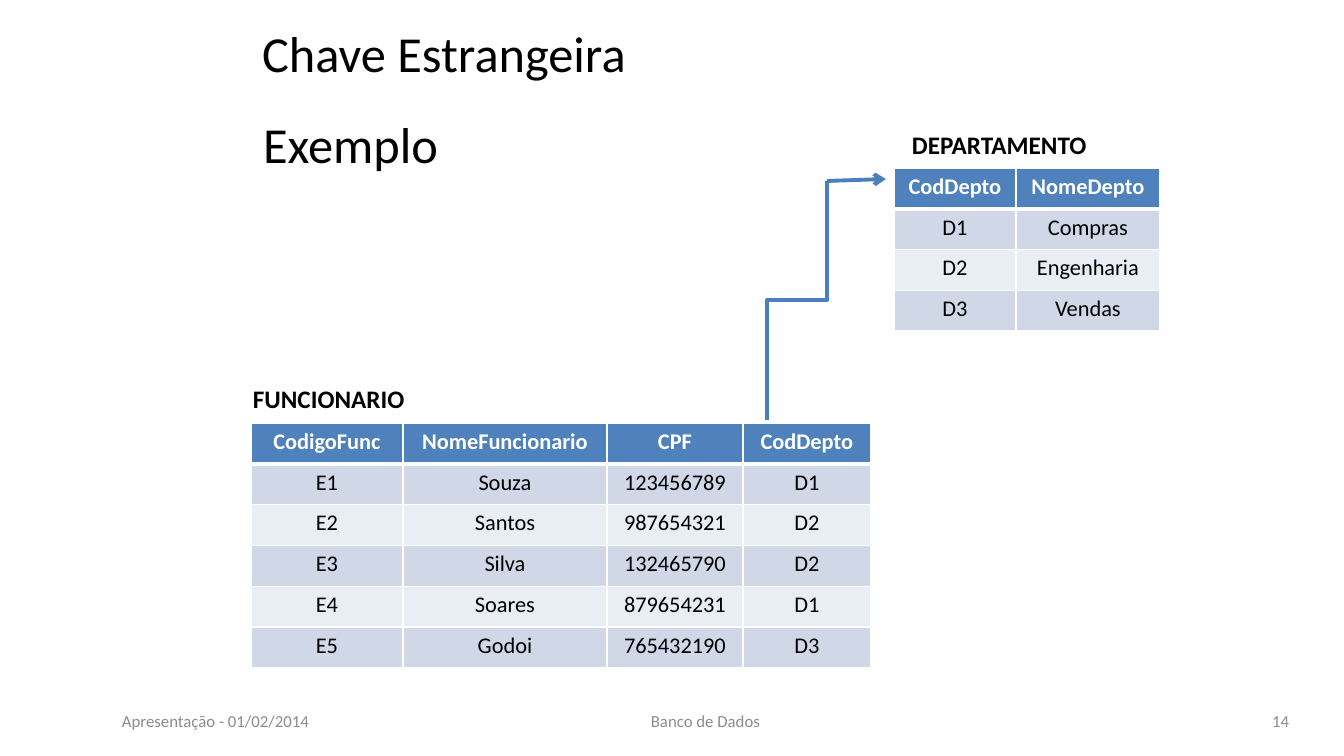
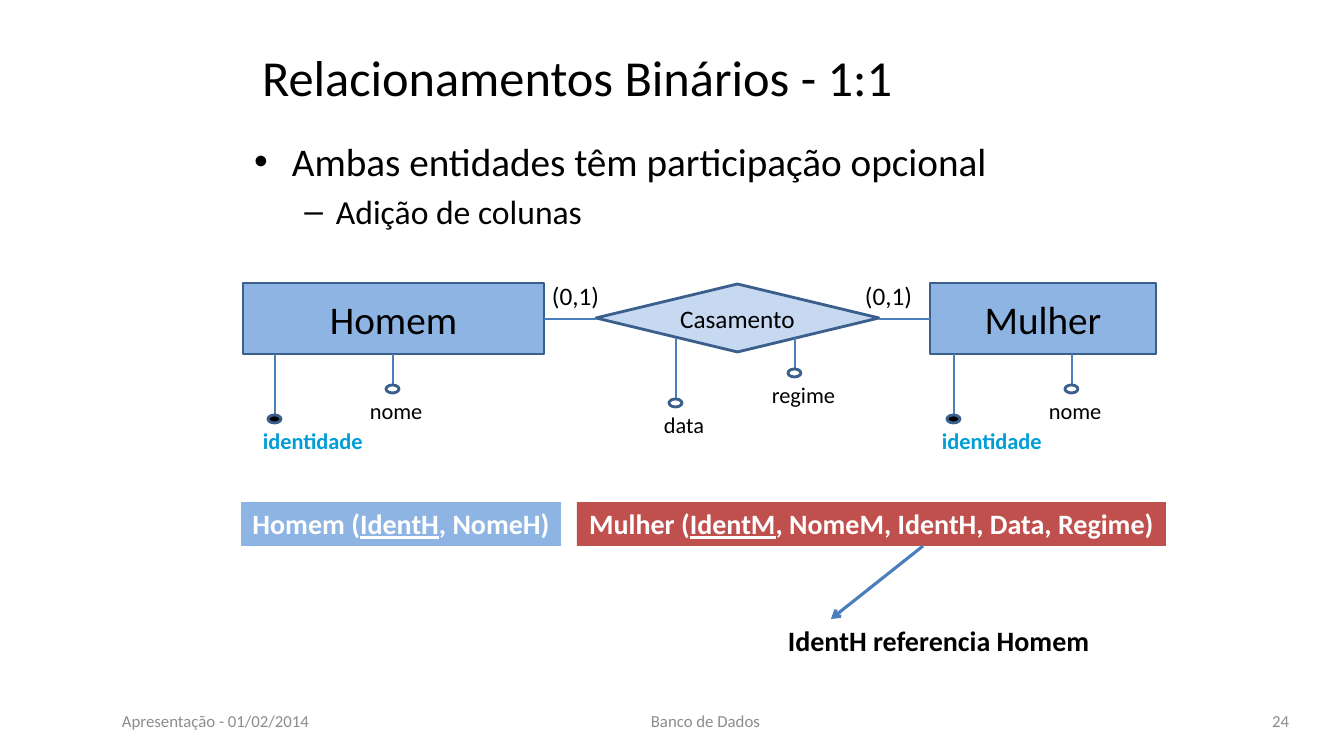
from dataclasses import dataclass

from lxml.etree import SubElement
from pptx import Presentation
from pptx.dml.color import RGBColor
from pptx.enum.shapes import MSO_CONNECTOR, MSO_SHAPE
from pptx.enum.text import MSO_ANCHOR, MSO_AUTO_SIZE, PP_ALIGN
from pptx.oxml.ns import qn
from pptx.shapes.autoshape import Shape
from pptx.shapes.connector import Connector
from pptx.slide import Slide
from pptx.util import Emu, Pt

# Shared style
FONT = "Calibri"
BLACK = RGBColor(0x00, 0x00, 0x00)
WHITE = RGBColor(0xFF, 0xFF, 0xFF)
GRAY = RGBColor(0x8C, 0x8C, 0x8C)
CYAN = RGBColor(0x00, 0x9E, 0xD6)
LINE_BLUE = RGBColor(0x4B, 0x7E, 0xBC)
OUTLINE = RGBColor(0x3A, 0x5F, 0x8C)
ENTITY_BLUE = RGBColor(0x8E, 0xB4, 0xE3)
RELATION_BLUE = RGBColor(0xC6, 0xD9, 0xF1)
RED = RGBColor(0xC0, 0x50, 0x4D)
HEADER_BLUE = RGBColor(0x4F, 0x81, 0xBD)
BANDS = (RGBColor(0xE9, 0xED, 0xF4), RGBColor(0xD0, 0xD8, 0xE8))


def px(n: float) -> Emu:
    """Pixels at 100.8 to the inch, in EMU."""
    return Emu(round(n * 914400 / 100.8))


@dataclass(frozen=True)
class Box:
    x: int
    y: int
    w: int
    h: int

    def emu(self) -> tuple[Emu, Emu, Emu, Emu]:
        return px(self.x), px(self.y), px(self.w), px(self.h)


@dataclass(frozen=True)
class TextStyle:
    size: int
    color: RGBColor = BLACK
    bold: bool = False
    align: PP_ALIGN = PP_ALIGN.LEFT


@dataclass(frozen=True)
class Label:
    text: str
    box: Box
    style: TextStyle
    anchor: MSO_ANCHOR = MSO_ANCHOR.TOP
    wrap: bool = True


@dataclass(frozen=True)
class Grid:
    caption: Label
    x: int
    y: int
    h: int
    cols: tuple[int, ...]
    rows: tuple[tuple[str, ...], ...]


@dataclass(frozen=True)
class Node:
    text: str
    kind: MSO_SHAPE
    box: Box
    fill: RGBColor
    size: int


@dataclass(frozen=True)
class Attribute:
    name: str
    x: int
    y: int
    deep: bool = False
    key: bool = False


@dataclass(frozen=True)
class Schema:
    box: Box
    fill: RGBColor
    before: str
    key: str
    after: str


TITLE_STYLE = TextStyle(36)
CAPTION = TextStyle(18, bold=True)
FOOTER = TextStyle(12, GRAY)


# Text
def style_paragraph(p, style: TextStyle) -> None:
    p.alignment = style.align
    for r in p.runs:
        r.font.name, r.font.size = FONT, Pt(style.size)
        r.font.bold, r.font.color.rgb = style.bold, style.color


def add_label(slide: Slide, label: Label) -> None:
    tf = slide.shapes.add_textbox(*label.box.emu()).text_frame
    tf.word_wrap, tf.vertical_anchor = label.wrap, label.anchor
    tf.text = label.text
    style_paragraph(tf.paragraphs[0], label.style)


def fill_placeholder(sp: Shape, box: Box, lines: list[tuple[str, int]],
                     anchor: MSO_ANCHOR) -> None:
    sp.left, sp.top, sp.width, sp.height = box.emu()
    tf = sp.text_frame
    tf.auto_size, tf.vertical_anchor = MSO_AUTO_SIZE.NONE, anchor
    tf.text = "\n".join(text for text, _ in lines)
    for level, (p, (_, size)) in enumerate(zip(tf.paragraphs, lines)):
        p.level = level
        style_paragraph(p, TextStyle(size))


def add_page(prs: Presentation, title: str, title_y: int, number: int,
             body_box: Box, body: list[tuple[str, int]]) -> Slide:
    slide = prs.slides.add_slide(prs.slide_layouts[1])
    fill_placeholder(slide.shapes.title, Box(252, title_y, 890, 95),
                     [(title, TITLE_STYLE.size)], MSO_ANCHOR.MIDDLE)
    fill_placeholder(slide.placeholders[1], body_box, body, MSO_ANCHOR.TOP)
    for text, x, w, align in (
        ("Apresentação - 01/02/2014", 112, 313, PP_ALIGN.LEFT),
        ("Banco de Dados", 493, 425, PP_ALIGN.CENTER),
        (str(number), 986, 313, PP_ALIGN.RIGHT),
    ):
        style = TextStyle(FOOTER.size, FOOTER.color, align=align)
        add_label(slide, Label(text, Box(x, 701, w, 40), style, MSO_ANCHOR.MIDDLE))
    return slide


# Lines and shapes
def style_line(c: Connector, width: float, arrow: bool = False) -> None:
    c.line.color.rgb, c.line.width = LINE_BLUE, Pt(width)
    sp_pr = c.element.spPr
    if arrow:
        SubElement(sp_pr.find(qn("a:ln")), qn("a:tailEnd"), type="arrow")
    SubElement(sp_pr, qn("a:effectLst"))


def add_line(slide: Slide, x1: int, y1: int, x2: int, y2: int,
             width: float = 2, arrow: bool = False) -> None:
    c = slide.shapes.add_connector(MSO_CONNECTOR.STRAIGHT, px(x1), px(y1), px(x2), px(y2))
    style_line(c, width, arrow)


def add_rising_elbow(slide: Slide, x1: int, y1: int, x2: int, y2: int,
                     width: float) -> None:
    """Vertical, horizontal, vertical: an elbow turned by a quarter."""
    cx, cy = (x1 + x2) / 2, (y1 + y2) / 2
    half_w, half_h = (y1 - y2) / 2, (x2 - x1) / 2
    c = slide.shapes.add_connector(MSO_CONNECTOR.ELBOW, px(cx + half_w), px(cy + half_h),
                                   px(cx - half_w), px(cy - half_h))
    c.element.spPr.find(qn("a:xfrm")).set("rot", str(90 * 60000))
    style_line(c, width)


def add_filled(slide: Slide, kind: MSO_SHAPE, box: Box, fill: RGBColor,
               outlined: bool = True) -> Shape:
    sp = slide.shapes.add_shape(kind, *box.emu())
    sp.shadow.inherit = False
    sp.fill.solid()
    sp.fill.fore_color.rgb = fill
    if outlined:
        sp.line.color.rgb, sp.line.width = OUTLINE, Pt(2)
    else:
        sp.line.fill.background()
    return sp


def add_node(slide: Slide, node: Node) -> None:
    tf = add_filled(slide, node.kind, node.box, node.fill).text_frame
    tf.word_wrap, tf.vertical_anchor = False, MSO_ANCHOR.MIDDLE
    tf.text = node.text
    style_paragraph(tf.paragraphs[0], TextStyle(node.size, align=PP_ALIGN.CENTER))


def add_attribute(slide: Slide, a: Attribute) -> None:
    drop, label_dx = (61, -22) if a.deep else (31, -33)
    end = a.y + drop
    add_line(slide, a.x, a.y, a.x, end)
    add_filled(slide, MSO_SHAPE.FLOWCHART_CONNECTOR, Box(a.x - 7, end, 13, 8),
               BLACK if a.key else WHITE)
    style = TextStyle(16, CYAN if a.key else BLACK, bold=a.key)
    add_label(slide, Label(a.name, Box(a.x + label_dx, end + 7, 121, 37), style, wrap=False))


def add_schema(slide: Slide, schema: Schema) -> None:
    sp = add_filled(slide, MSO_SHAPE.RECTANGLE, schema.box, schema.fill, outlined=False)
    tf = sp.text_frame
    tf.word_wrap, tf.vertical_anchor = False, MSO_ANCHOR.TOP
    p = tf.paragraphs[0]
    for text, underlined in ((schema.before, False), (schema.key, True), (schema.after, False)):
        r = p.add_run()
        r.text, r.font.underline = text, underlined
    style_paragraph(p, TextStyle(20, WHITE, True, PP_ALIGN.CENTER))


# Tables
def set_borders(cell, row: int) -> None:
    tc_pr = cell._tc.get_or_add_tcPr()
    widths = {"lnL": 1, "lnR": 1, "lnT": 3 if row == 1 else 1, "lnB": 3 if row == 0 else 1}
    for i, (side, width) in enumerate(widths.items()):
        ln = SubElement(tc_pr, qn(f"a:{side}"), w=str(int(Pt(width))))
        SubElement(SubElement(ln, qn("a:solidFill")), qn("a:srgbClr"), val=str(WHITE))
        tc_pr.insert(i, ln)


def add_grid(slide: Slide, grid: Grid) -> None:
    add_label(slide, grid.caption)
    box = Box(grid.x, grid.y, sum(grid.cols), grid.h)
    table = slide.shapes.add_table(len(grid.rows), len(grid.cols), *box.emu()).table
    for col, w in zip(table.columns, grid.cols):
        col.width = px(w)
    for i, values in enumerate(grid.rows):
        header = i == 0
        table.rows[i].height = px(grid.h / len(grid.rows))
        style = TextStyle(16, WHITE if header else BLACK, header, PP_ALIGN.CENTER)
        for j, value in enumerate(values):
            cell = table.cell(i, j)
            cell.text = value
            style_paragraph(cell.text_frame.paragraphs[0], style)
            cell.fill.solid()
            cell.fill.fore_color.rgb = HEADER_BLUE if header else BANDS[i % 2]
            set_borders(cell, i)


prs = Presentation()
prs.slide_width, prs.slide_height = px(1344), px(756)

# Slide 1: foreign key example
slide = add_page(prs, "Chave Estrangeira", 5, 14, Box(253, 108, 336, 55), [("Exemplo", 36)])
p_pr = slide.placeholders[1].text_frame.paragraphs[0]._p.get_or_add_pPr()
p_pr.set("marL", "0")
p_pr.set("indent", "0")
SubElement(p_pr, qn("a:buNone"))

GRIDS = (
    Grid(Label("FUNCIONARIO", Box(243, 378, 223, 40), CAPTION), 251, 423, 245,
         (152, 204, 136, 128),
         (("CodigoFunc", "NomeFuncionario", "CPF", "CodDepto"),
          ("E1", "Souza", "123456789", "D1"),
          ("E2", "Santos", "987654321", "D2"),
          ("E3", "Silva", "132465790", "D2"),
          ("E4", "Soares", "879654231", "D1"),
          ("E5", "Godoi", "765432190", "D3"))),
    Grid(Label("DEPARTAMENTO", Box(902, 124, 223, 40), CAPTION), 894, 168, 163,
         (122, 144),
         (("CodDepto", "NomeDepto"), ("D1", "Compras"),
          ("D2", "Engenharia"), ("D3", "Vendas"))),
)
for grid in GRIDS:
    add_grid(slide, grid)
add_rising_elbow(slide, 767, 420, 827, 181, 2.75)
add_line(slide, 827, 181, 886, 179, 2.75, arrow=True)

# Slide 2: one-to-one relationship
slide = add_page(prs, "Relacionamentos Binários - 1:1", 29, 24, Box(244, 132, 890, 127),
                 [("Ambas entidades têm participação opcional", 28), ("Adição de colunas", 24)])
NODES = (
    Node("Homem", MSO_SHAPE.RECTANGLE, Box(243, 283, 301, 71), ENTITY_BLUE, 28),
    Node("Casamento", MSO_SHAPE.FLOWCHART_DECISION, Box(596, 284, 283, 68), RELATION_BLUE, 18),
    Node("Mulher", MSO_SHAPE.RECTANGLE, Box(930, 283, 226, 71), ENTITY_BLUE, 28),
)
for node in NODES:
    add_node(slide, node)
for left, right in zip(NODES, NODES[1:]):
    add_line(slide, left.box.x + left.box.w, 319, right.box.x, 319)
for x in (542, 855):
    add_label(slide, Label("(0,1)", Box(x, 275, 69, 40), TextStyle(18), wrap=False))

ATTRIBUTES = [Attribute("data", 676, 338, deep=True), Attribute("regime", 795, 338)]
for x in (275, 954):
    ATTRIBUTES += [Attribute("identidade", x, 354, deep=True, key=True),
                   Attribute("nome", x + 118, 354)]
for attribute in ATTRIBUTES:
    add_attribute(slide, attribute)

# Resulting schemas
for schema in (
    Schema(Box(577, 502, 589, 44), RED, "Mulher (", "IdentM", ", NomeM, IdentH, Data, Regime)"),
    Schema(Box(241, 502, 320, 44), ENTITY_BLUE, "Homem (", "IdentH", ", NomeH)"),
):
    add_schema(slide, schema)
add_label(slide, Label("IdentH referencia Homem", Box(778, 619, 335, 44),
                       TextStyle(20, bold=True)))
add_line(slide, 923, 546, 831, 619, 2.25, arrow=True)

prs.save("out.pptx")
